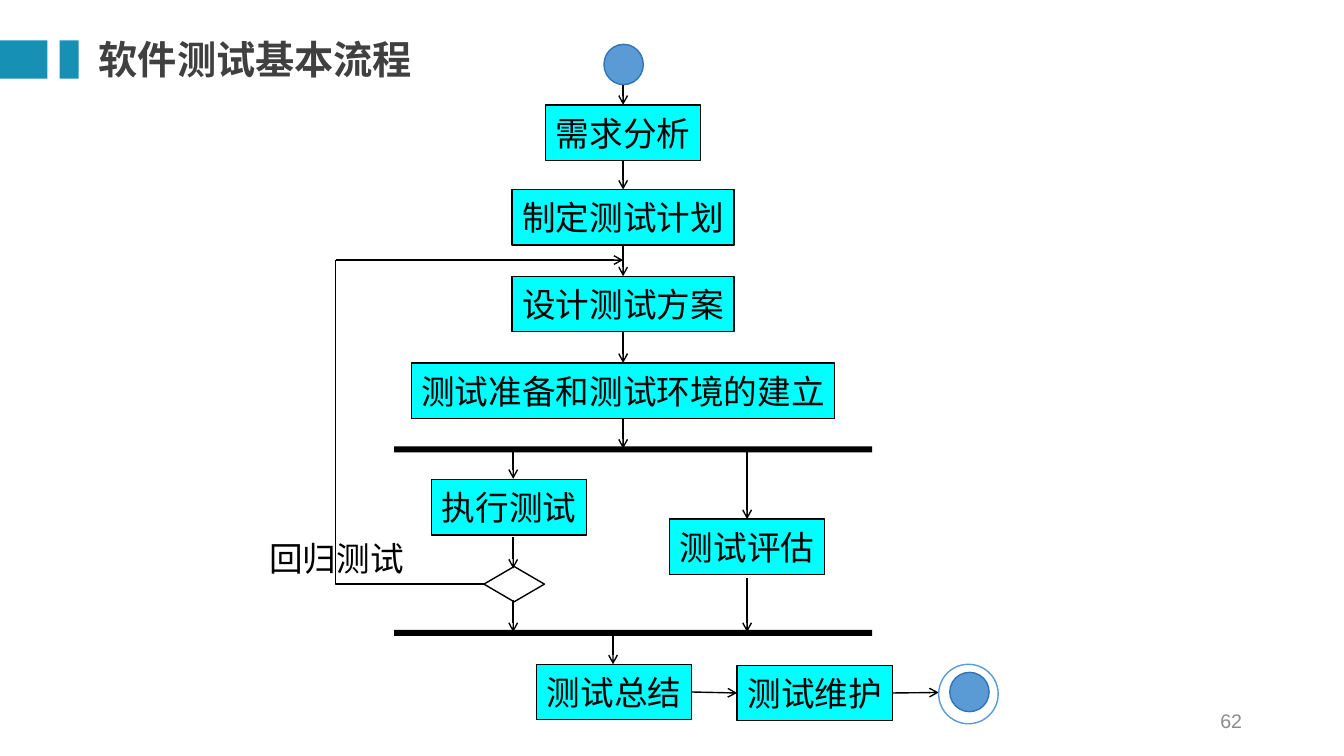
from lxml import etree
from pptx import Presentation
from pptx import util as u
from pptx.dml.color import RGBColor
from pptx.enum import shapes, text
from pptx.oxml.ns import qn

PX = 9144  # EMU per px, 100 px to the inch
TOP, LEFT, BOTTOM, RIGHT = range(4)
CJK = "Noto Sans CJK SC"
SHAPE = shapes.MSO_SHAPE
BLACK, CYAN, TEAL, BLUE, DARK_BLUE = "000000", "00FFFF", "1691B5", "5B9BD5", "2E75B6"


def colour(value):
    return RGBColor.from_string(value)


def write(shape, words, size=24, font=CJK, color=BLACK, bold=False,
          align=text.PP_ALIGN.LEFT, wrap=False):
    frame = shape.text_frame
    frame.auto_size = text.MSO_AUTO_SIZE.NONE
    frame.word_wrap = wrap
    frame.vertical_anchor = text.MSO_ANCHOR.MIDDLE
    frame.margin_left = frame.margin_right = frame.margin_top = frame.margin_bottom = 0
    paragraph = frame.paragraphs[0]
    paragraph.alignment = align
    run = paragraph.add_run()
    run.text = words
    run.font.size, run.font.bold, run.font.name = u.Pt(size), bold, font
    run.font.color.rgb = colour(color)
    east_asian = etree.SubElement(run.font._element, qn("a:ea"))
    east_asian.set("typeface", font)


class FlowSlide:
    def __init__(self, presentation):
        self.slide = presentation.slides.add_slide(presentation.slide_layouts[5])
        self.shapes = self.slide.shapes

    def title(self, words, left, top, width, height):
        title = self.shapes.title
        title.left, title.top = left * PX, top * PX
        title.width, title.height = width * PX, height * PX
        write(title, words, size=28, color="404040", bold=True, wrap=True)

    def shape(self, kind, left, top, width, height, fill=None, line=None):
        shape = self.shapes.add_shape(kind, left * PX, top * PX, width * PX, height * PX)
        shape.shadow.inherit = False
        if fill:
            shape.fill.solid()
            shape.fill.fore_color.rgb = colour(fill)
        else:
            shape.fill.background()
        if line:
            shape.line.color.rgb = colour(line)
            shape.line.width = u.Pt(1)
        else:
            shape.line.fill.background()
        return shape

    def step(self, words, centre, top, width=154):
        box = self.shape(SHAPE.RECTANGLE, centre - width // 2, top, width, 55, CYAN, BLACK)
        write(box, words, align=text.PP_ALIGN.CENTER)
        return box

    def label(self, words, left, top, width, height, **style):
        write(self.shapes.add_textbox(left * PX, top * PX, width * PX, height * PX),
              words, **style)

    def connector(self, start, end, elbow=False, arrow=True):
        """Each end is an (x, y) point or a (shape, side) pair."""
        joined = [isinstance(point[0], int) is False for point in (start, end)]
        x1, y1 = (0, 0) if joined[0] else start
        x2, y2 = (0, 0) if joined[1] else end
        kind = shapes.MSO_CONNECTOR.ELBOW if elbow else shapes.MSO_CONNECTOR.STRAIGHT
        line = self.shapes.add_connector(kind, x1 * PX, y1 * PX, x2 * PX, y2 * PX)
        if joined[0]:
            line.begin_connect(*start)
        if joined[1]:
            line.end_connect(*end)
        line.line.color.rgb = colour(BLACK)
        line.line.width = u.Pt(1)
        properties = line._element.spPr
        if elbow:
            properties.find(qn("a:prstGeom")).set("prst", "bentConnector2")
        if arrow:
            tail = etree.SubElement(properties.find(qn("a:ln")), qn("a:tailEnd"))
            tail.set("type", "arrow")
        etree.SubElement(properties, qn("a:effectLst"))


def main():
    presentation = Presentation()
    presentation.slide_width, presentation.slide_height = 1333 * PX, 750 * PX
    flow = FlowSlide(presentation)

    # Heading and page number
    for left, width in ((0, 47), (59, 19)):
        flow.shape(SHAPE.RECTANGLE, left, 40, width, 38, TEAL)
    flow.title("软件测试基本流程", 98, 31, 434, 55)
    flow.label("62", 942, 695, 290, 40, size=14, font="Arial", color="8C8C8C",
               align=text.PP_ALIGN.RIGHT)

    # Main column
    axis = 618
    flow.shape(SHAPE.FLOWCHART_CONNECTOR, 599, 44, 39, 40, BLUE, DARK_BLUE)
    column = [flow.step(words, axis, top, width) for words, top, width in (
        ("需求分析", 104, 154),
        ("制定测试计划", 188, 220),
        ("设计测试方案", 274, 220),
        ("测试准备和测试环境的建立", 360, 420),
    )]
    flow.connector((axis, 84), (column[0], TOP))
    for upper, lower in zip(column, column[1:]):
        flow.connector((upper, BOTTOM), (lower, TOP))

    # Fork and join bars
    for top in (443, 625):
        flow.shape(SHAPE.RECTANGLE, 391, top, 474, 6, BLACK)
    flow.connector((column[-1], BOTTOM), (axis, 445))

    # Parallel branches
    flow.step("执行测试", 505, 476)
    evaluation = flow.step("测试评估", 741, 515)
    decision = flow.shape(SHAPE.DIAMOND, 480, 562, 60, 35, line=BLACK)
    for top, bottom in ((444, 475), (533, 564), (595, 627)):
        flow.connector((509, top), (509, bottom))
    flow.connector((741, 446), (evaluation, TOP))
    flow.connector((741, 573), (741, 627))

    # Regression loop
    flow.connector((decision, LEFT), (333, 258), elbow=True, arrow=False)
    flow.connector((333, 258), (axis, 258))
    flow.label("回归测试", 267, 534, 133, 40)

    # Closing steps
    summary = flow.step("测试总结", 609, 659)
    maintenance = flow.step("测试维护", 808, 660)
    flow.connector((608, 629), (608, 659))
    flow.connector((summary, RIGHT), (maintenance, LEFT))
    flow.connector((maintenance, RIGHT), (931, 687))
    flow.shape(SHAPE.FLOWCHART_CONNECTOR, 942, 667, 39, 39, BLUE, DARK_BLUE)
    flow.shape(SHAPE.FLOWCHART_CONNECTOR, 931, 659, 59, 59, line=BLUE)

    presentation.save("out.pptx")


if __name__ == "__main__":
    main()
